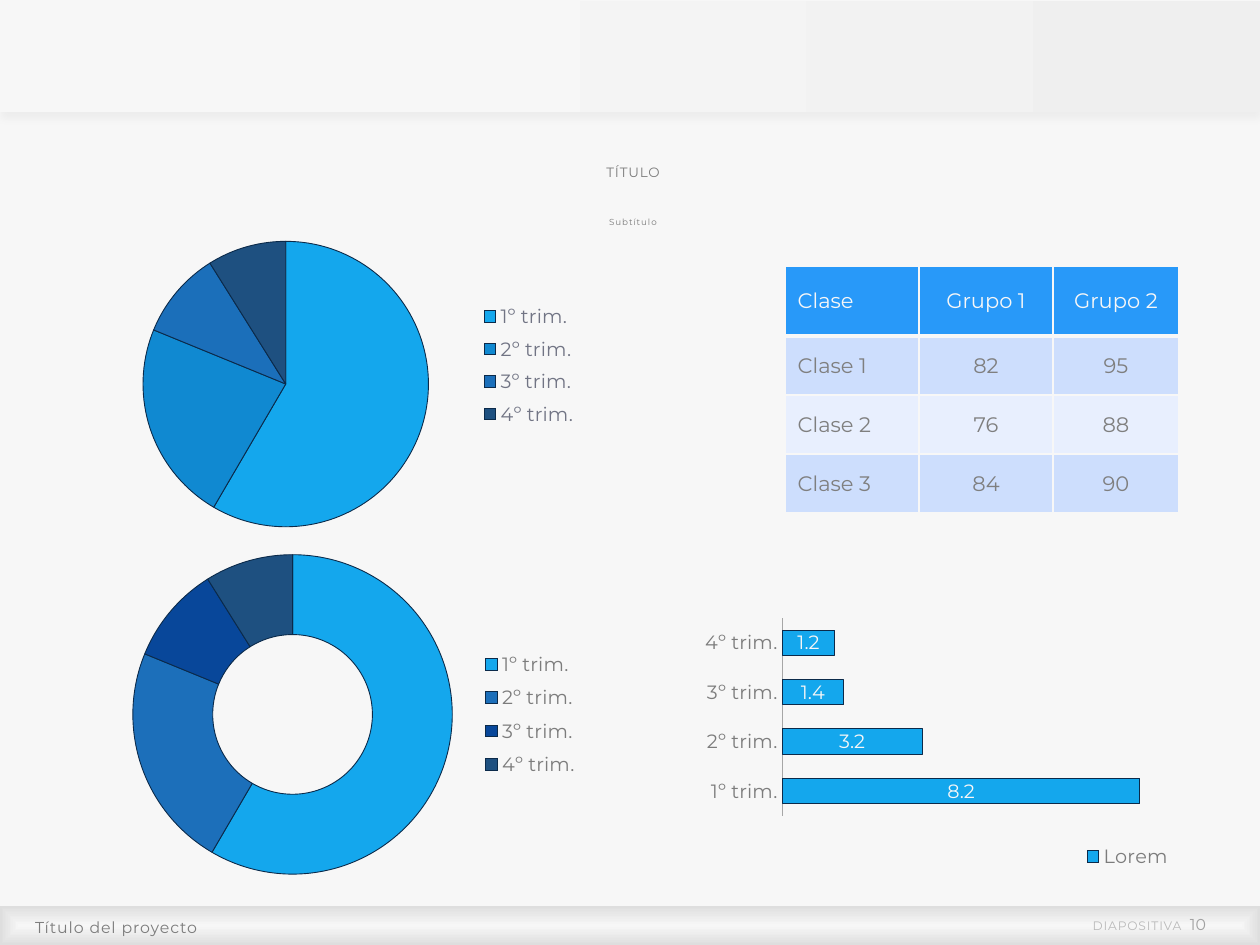
import pptx
import pptx.util
import pptx.chart.data
import pptx.dml.color
import pptx.enum.chart
import pptx.enum.shapes
import pptx.enum.text
import pptx.oxml
from pptx.oxml.ns import qn
from dataclasses import dataclass

Pt = pptx.util.Pt
Align = pptx.enum.text.PP_ALIGN
ChartType = pptx.enum.chart.XL_CHART_TYPE
LegendPosition = pptx.enum.chart.XL_LEGEND_POSITION
A_NS = 'xmlns:a="http://schemas.openxmlformats.org/drawingml/2006/main"'
C_NS = 'xmlns:c="http://schemas.openxmlformats.org/drawingml/2006/chart"'


@dataclass(frozen=True)
class Theme:
    font: str = "Montserrat"
    paper: str = "F7F7F7"
    header_end: str = "EFEFEF"
    footer_end: str = "DEDEDE"
    text: str = "7C7C7C"
    legend: str = "717484"
    label: str = "B9B9B9"
    number: str = "A1A1A1"
    table_text: str = "7F7F7F"
    table_head: str = "2899F9"
    table_bands: tuple = ("CDDEFD", "E8EFFE")
    outline: str = "0B2A4A"
    axis: str = "A6A6A6"
    pie: tuple = ("14A7ED", "1089D1", "1B6FBA", "1E5080")
    doughnut: tuple = ("14A7ED", "1C6FBA", "08479A", "1E5080")
    title_size: float = 7.7
    subtitle_size: float = 5
    small_size: float = 7
    footer_size: float = 9
    chart_size: float = 11
    table_size: float = 12


THEME = Theme()
QUARTERS = ("1º trim.", "2º trim.", "3º trim.", "4º trim.")


def px(length):
    return pptx.util.Emu(round(length * 914400 / 126))


def place(box):
    return [px(length) for length in box]


def rgb(color):
    return pptx.dml.color.RGBColor.from_string(color)


def xml(markup):
    return pptx.oxml.parse_xml(markup)


def style(font, size, color):
    font.name, font.size, font.color.rgb = THEME.font, Pt(size), rgb(color)


def add_run(paragraph, text, size, color, spacing=0):
    run = paragraph.add_run()
    run.text = text
    style(run.font, size, color)
    if spacing:
        run.font._element.set("spc", str(round(spacing * 100)))


def add_text(slide, box, runs, align, line_spacing=1, left_inset=5):
    frame = slide.shapes.add_textbox(*place(box)).text_frame
    frame.word_wrap = True
    frame.vertical_anchor = pptx.enum.text.MSO_ANCHOR.MIDDLE
    frame.margin_left = px(left_inset)
    frame.margin_top = frame.margin_right = frame.margin_bottom = 0
    paragraph = frame.paragraphs[0]
    paragraph.alignment, paragraph.line_spacing = align, line_spacing
    for run in runs:
        add_run(paragraph, *run)


def add_band(slide, box, end_color, start):
    band = slide.shapes.add_shape(pptx.enum.shapes.MSO_SHAPE.RECTANGLE, *place(box))
    band.shadow.inherit = False
    band.line.fill.background()
    band.fill.gradient()
    band.fill.gradient_angle = 0
    for stop, color, position in zip(band.fill.gradient_stops, (THEME.paper, end_color), (start, 1)):
        stop.color.rgb, stop.position = rgb(color), position
    return band


def add_header(slide, box):
    band = add_band(slide, box, THEME.header_end, 0.28)
    effects = band._element.spPr.find(qn("a:effectLst"))
    effects.append(xml(
        f'<a:outerShdw {A_NS} blurRad="{Pt(4)}" dist="{Pt(3)}" dir="5400000" algn="t" rotWithShape="0">'
        '<a:srgbClr val="000000"><a:alpha val="3000"/></a:srgbClr></a:outerShdw>'))


def add_footer(slide, box):
    left, top, width, height = box
    band = add_band(slide, box, THEME.footer_end, 0)
    # The gradient runs from the centre to the edges
    linear = band._element.spPr.find(qn("a:gradFill")).find(qn("a:lin"))
    linear.getparent().replace(linear, xml(
        f'<a:path {A_NS} path="shape"><a:fillToRect l="50000" t="50000" r="50000" b="50000"/></a:path>'))
    add_text(slide, (left + 30, top, 927, height),
             [("Título del proyecto", THEME.footer_size, THEME.text, 0.5)], Align.LEFT, 1.14)
    add_text(slide, (left + width - 184, top + 9, 130, 19),
             [("DIAPOSITIVA", THEME.small_size, THEME.label, 0.5),
              (" ", THEME.small_size, THEME.label, 2.5),
              ("10", THEME.footer_size, THEME.number)], Align.RIGHT, left_inset=0)


def add_titles(slide, box):
    left, top, width, _ = box
    for offset, height, text, size in ((0, 52, "TÍTULO", THEME.title_size),
                                       (56, 40, "Subtítulo", THEME.subtitle_size)):
        add_text(slide, (left, top + offset, width, height),
                 [(text, size, THEME.text, 0.5)], Align.CENTER, 0.94)


def set_layout(part, index, fractions, target=""):
    for layout in part.findall(qn("c:layout")):
        part.remove(layout)
    modes = "".join(f'<c:{axis}Mode val="edge"/>' for axis in "xy")
    sizes = "".join(f'<c:{key} val="{value}"/>' for key, value in zip("xywh", fractions))
    part.insert(index, xml(
        f'<c:layout {C_NS}><c:manualLayout>{target}{modes}{sizes}</c:manualLayout></c:layout>'))


def add_chart(slide, box, kind, series, values, plot, legend, position, legend_color):
    data = pptx.chart.data.CategoryChartData()
    data.categories = QUARTERS
    data.add_series(series, values)
    chart = slide.shapes.add_chart(kind, *place(box), data).chart
    chart.has_title = False
    style(chart.font, THEME.chart_size, THEME.text)
    chart.has_legend = True
    chart.legend.position = position
    chart.legend.include_in_layout = False
    style(chart.legend.font, THEME.chart_size, legend_color)
    set_layout(chart.legend._element, 1, legend)
    set_layout(chart._chartSpace.chart.plotArea, 0, plot, '<c:layoutTarget val="inner"/>')
    return chart


def paint(item, color):
    item.format.fill.solid()
    item.format.fill.fore_color.rgb = rgb(color)
    item.format.line.color.rgb = rgb(THEME.outline)
    item.format.line.width = Pt(0.5)


def add_round_chart(slide, box, kind, colors, plot, legend, legend_color):
    chart = add_chart(slide, box, kind, "Series 1", (59, 23, 10, 9), plot, legend,
                      LegendPosition.RIGHT, legend_color)
    chart.plots[0].vary_by_categories = True
    for index, color in enumerate(colors):
        paint(chart.plots[0].series[0].points[index], color)


def add_bar_chart(slide, box):
    chart = add_chart(slide, box, ChartType.BAR_STACKED, "Lorem", (8.2, 3.2, 1.4, 1.2),
                      (0.2, 0.23, 0.75, 0.56), (0.76, 0.86, 0.2, 0.09), LegendPosition.TOP, THEME.text)
    bars = chart.plots[0]
    bars.vary_by_categories = False
    bars.gap_width, bars.overlap = 95, 100
    paint(bars.series[0], THEME.pie[0])
    labels = bars.series[0].data_labels
    labels.show_value = True
    style(labels.font, THEME.chart_size, THEME.paper)
    # Axes
    quarters, amounts = chart.category_axis, chart.value_axis
    quarters.major_tick_mark = quarters.minor_tick_mark = pptx.enum.chart.XL_TICK_MARK.NONE
    quarters.format.line.color.rgb = rgb(THEME.axis)
    style(quarters.tick_labels.font, THEME.chart_size, THEME.text)
    amounts.minimum_scale, amounts.maximum_scale = 0, 9
    amounts.has_major_gridlines = False
    amounts.visible = False


def set_borders(cell, bottom):
    properties = cell._tc.get_or_add_tcPr()
    for index, (side, width) in enumerate(zip("LRTB", (1, 1, 1, bottom))):
        properties.insert(index, xml(
            f'<a:ln{side} {A_NS} w="{Pt(width)}"><a:solidFill><a:srgbClr val="{THEME.paper}"/>'
            f'</a:solidFill></a:ln{side}>'))


def add_grades(slide, box):
    grades = (("Clase", "Grupo 1", "Grupo 2"), ("Clase 1", "82", "95"),
              ("Clase 2", "76", "88"), ("Clase 3", "84", "90"))
    table = slide.shapes.add_table(len(grades), 3, *place(box)).table
    for column, width in zip(table.columns, (134, 134, 126)):
        column.width = px(width)
    for index, values in enumerate(grades):
        header = index == 0
        table.rows[index].height = px(70 if header else 59)
        for column, value in enumerate(values):
            cell = table.cell(index, column)
            cell.fill.solid()
            cell.fill.fore_color.rgb = rgb(THEME.table_head if header else THEME.table_bands[(index - 1) % 2])
            cell.vertical_anchor = pptx.enum.text.MSO_ANCHOR.MIDDLE
            set_borders(cell, 3 if header else 1)
            paragraph = cell.text_frame.paragraphs[0]
            paragraph.alignment = Align.CENTER if column else Align.LEFT
            add_run(paragraph, value, THEME.table_size, THEME.paper if header else THEME.table_text)


def main():
    deck = pptx.Presentation()
    deck.slide_width, deck.slide_height = px(1260), px(945)
    slide = deck.slides.add_slide(deck.slide_layouts[6])
    slide.background.fill.solid()
    slide.background.fill.fore_color.rgb = rgb(THEME.paper)
    # Frame
    add_header(slide, (0, 1, 1260, 111))
    add_footer(slide, (0, 906, 1260, 39))
    add_titles(slide, (402, 147, 457, 96))
    # Charts and table
    add_round_chart(slide, (79, 207, 517, 344), ChartType.PIE, THEME.pie,
                    (0.08, 0.1, 0.64, 0.83), (0.77, 0.26, 0.2, 0.4), THEME.legend)
    add_bar_chart(slide, (678, 537, 523, 353))
    add_grades(slide, (785, 266, 394, 247))
    add_round_chart(slide, (79, 537, 534, 355), ChartType.DOUGHNUT, THEME.doughnut,
                    (0.1, 0.05, 0.6, 0.9), (0.75, 0.3, 0.19, 0.4), THEME.text)
    deck.save("out.pptx")


if __name__ == "__main__":
    main()
